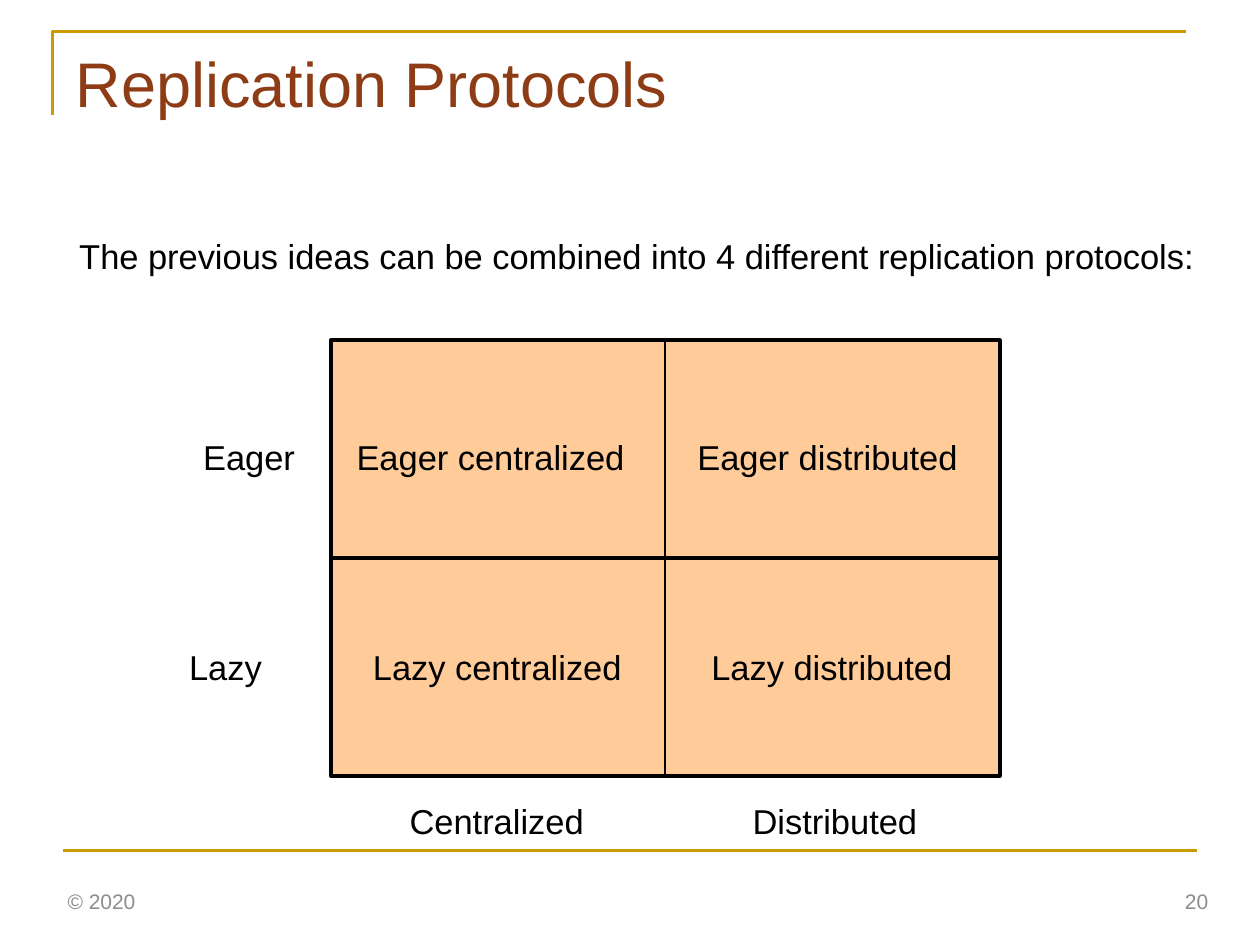
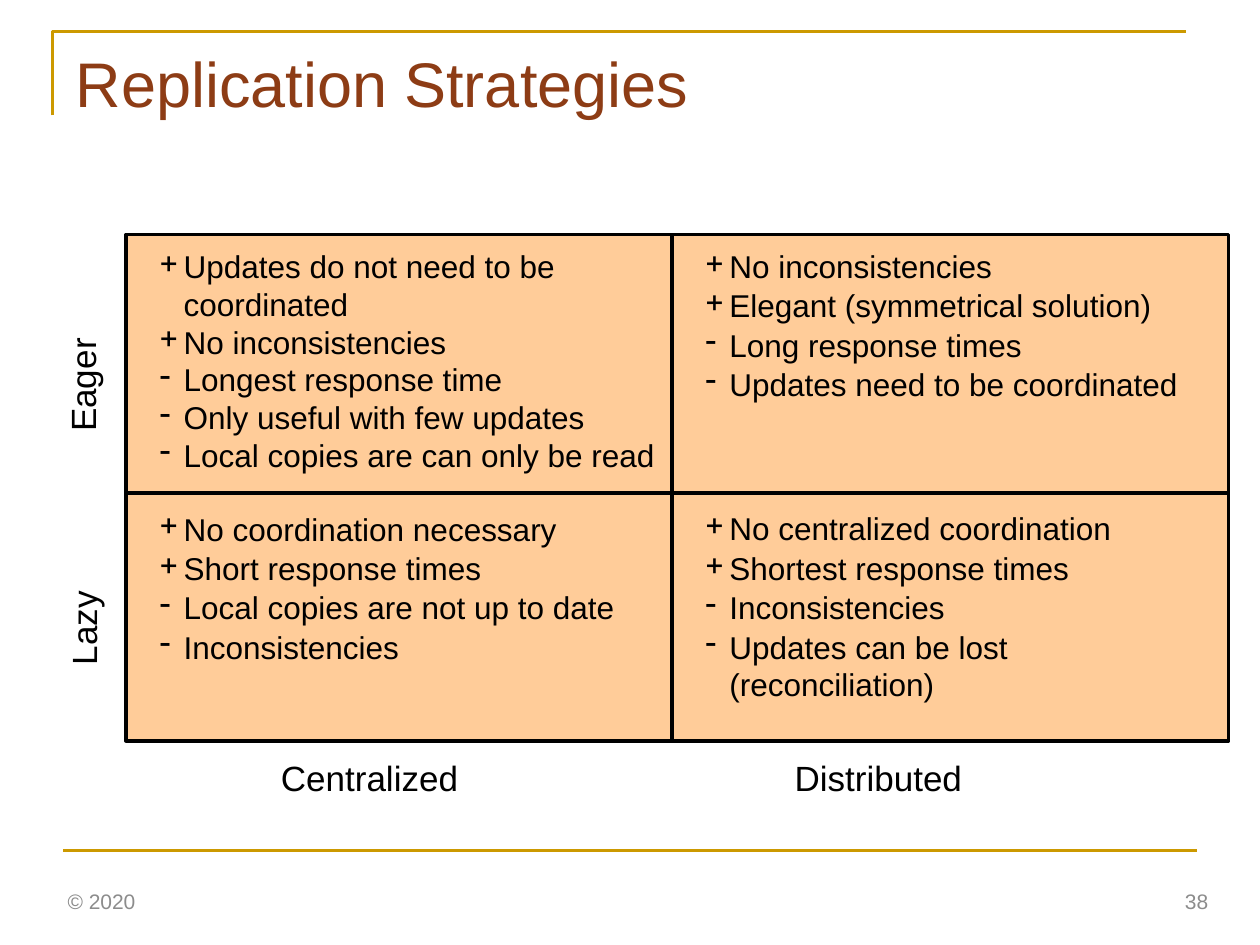
import pptx
import pptx.util
import pptx.dml.color
import pptx.enum.shapes
import pptx.enum.text
import lxml.etree
from pptx.oxml.ns import qn

Pt = pptx.util.Pt
ALIGN = pptx.enum.text.PP_ALIGN
ANCHOR = pptx.enum.text.MSO_ANCHOR

FONT = "Arial"
GOLD, BROWN, PEACH = "CC9900", "8D3C15", "FFCC99"
BLACK, GREY = "000000", "8C8C8C"


def color(code):
    return pptx.dml.color.RGBColor.from_string(code)


def style(par, size, code, align=ALIGN.LEFT):
    par.font.name = FONT
    par.font.size = Pt(size)
    par.font.color.rgb = color(code)
    par.alignment = align


def line(slide, start, end, code, width):
    link = slide.shapes.add_connector(
        pptx.enum.shapes.MSO_CONNECTOR.STRAIGHT,
        *(Pt(v) for v in (*start, *end)))
    link.line.color.rgb = color(code)
    link.line.width = Pt(width)
    props = link._element.spPr
    lxml.etree.SubElement(props, qn("a:effectLst"))
    return link


def label(slide, box, text, size, code=BLACK, align=ALIGN.LEFT,
          wrap=False, turn=0):
    shape = slide.shapes.add_textbox(*(Pt(v) for v in box))
    shape.rotation = turn
    frame = shape.text_frame
    frame.word_wrap = wrap
    frame.text = text
    style(frame.paragraphs[0], size, code, align)
    return frame


def bullet(par, mark):
    """Hang the paragraph from a plus or minus sign."""
    props = par._p.get_or_add_pPr()
    props.set("marL", str(Pt(13.7)))
    props.set("indent", str(-Pt(13.7)))
    if mark == "-":
        lxml.etree.SubElement(props, qn("a:buSzPct"), val="105000")
    lxml.etree.SubElement(props, qn("a:buChar"), char=mark)


def points(slide, box, pros, cons, gap):
    """List advantages marked + and then drawbacks marked -."""
    items = [("+", text) for text in pros] + [("-", text) for text in cons]
    frame = label(slide, box, items[0][1], 18, wrap=True)
    for mark, text in items[1:]:
        frame.add_paragraph().text = text
    for par, (mark, text) in zip(frame.paragraphs, items):
        style(par, 18, BLACK)
        par.space_before = Pt(gap)
        bullet(par, mark)


def base(deck, title, number):
    """Add a slide with its title, gold rules and footer."""
    slide = deck.slides.add_slide(deck.slide_layouts[5])
    path = slide.shapes.build_freeform(Pt(30), Pt(66))
    path.add_line_segments([(Pt(30), Pt(18)), (Pt(678), Pt(18))], close=False)
    corner = path.convert_to_shape()
    corner.shadow.inherit = False
    corner.fill.background()
    corner.line.color.rgb = color(GOLD)
    corner.line.width = Pt(1.5)
    line(slide, (36, 486), (684, 486), GOLD, 1.5)

    head = slide.shapes.title
    head.left, head.top, head.width, head.height = map(Pt, (36, 21.6, 648, 90))
    head.text_frame.text = title
    head.text_frame.vertical_anchor = ANCHOR.TOP
    style(head.text_frame.paragraphs[0], 36, BROWN)

    for left, width, text, align in ((31.5, 243, "© 2020", ALIGN.LEFT),
                                     (535.5, 162, number, ALIGN.RIGHT)):
        foot = label(slide, (left, 500.4, width, 28.8), text, 12, GREY,
                     align, wrap=True)
        foot.vertical_anchor = ANCHOR.MIDDLE
    return slide


def panel(slide, box):
    rect = slide.shapes.add_shape(
        pptx.enum.shapes.MSO_SHAPE.RECTANGLE, *(Pt(v) for v in box))
    rect.shadow.inherit = False
    rect.fill.solid()
    rect.fill.fore_color.rgb = color(PEACH)
    rect.line.color.rgb = color(BLACK)
    rect.line.width = Pt(2)
    return rect


def cross(slide, box, split, widths):
    """Divide the box by an upright and a level line at the split."""
    left, top, width, height = box
    x, y = left + split[0], top + split[1]
    return (line(slide, (x, top), (x, top + height), BLACK, widths[0]),
            line(slide, (left, y), (left + width, y), BLACK, widths[1]))


def protocols(slide, box):
    left, top, width, height = box
    rect = panel(slide, box)
    upright, level = cross(slide, box, (width / 2, height / 2), (1, 2))
    upright.begin_connect(rect, 0)
    upright.end_connect(rect, 2)
    level.begin_connect(rect, 1)
    level.end_connect(rect, 3)

    upper, lower, below = 51.1, 171.4, 259.2
    mid = ALIGN.CENTER
    for x, y, wide, text, align in (
            (-80, upper, 67.7, "Eager", ALIGN.LEFT),
            (-88, lower, 72, "Lazy", ALIGN.LEFT),
            (38, below, 117.4, "Centralized", ALIGN.LEFT),
            (234, below, 110.2, "Distributed", ALIGN.LEFT),
            (6.3, upper, 170, "Eager centralized", mid),
            (200, upper, 167.8, "Eager distributed", mid),
            (15.7, lower, 159, "Lazy centralized", mid),
            (206.5, lower, 159.8, "Lazy distributed", mid)):
        label(slide, (left + x, top + y, wide, 31), text, 19.7, align=align,
              wrap=text == "Lazy")


def tradeoffs(slide, box):
    left, top, width, height = box
    panel(slide, box)
    cross(slide, box, (311.8, 147.6), (2.25, 2.25))
    for x, y, wide, text, turn in (
            (-59, 69.8, 68.4, "Eager", 270),
            (-62.6, 198.7, 77, "Lazy", 270.2),
            (81.4, 294.5, 116.6, "Centralized", 0),
            (375, 294.5, 110.9, "Distributed", 0)):
        label(slide, (left + x, top + y, wide, 31.7), text, 20,
              wrap=text == "Lazy", turn=turn)

    near, far, upper, lower = 12.2, 324, 3.6, 153.6
    for x, y, tall, gap, pros, cons in (
            (near, upper, 138.2, 0,
             ["Updates do not need to be coordinated", "No inconsistencies"],
             ["Longest response time", "Only useful with few updates",
              "Local copies are can only be read"]),
            (far, upper, 98, 0.9,
             ["No inconsistencies", "Elegant (symmetrical solution)"],
             ["Long response times", "Updates need to be coordinated"]),
            (near, lower, 98, 0.9,
             ["No coordination necessary", "Short response times"],
             ["Local copies are not up to date", "Inconsistencies"]),
            (far, lower, 119.5, 0.9,
             ["No centralized coordination", "Shortest response times"],
             ["Inconsistencies", "Updates can be lost (reconciliation)"])):
        points(slide, (left + x, top + y, 300, tall), pros, cons, gap)


def main():
    deck = pptx.Presentation()
    deck.slide_width, deck.slide_height = Pt(720), Pt(540)

    slide = base(deck, "Replication Protocols", "20")
    label(slide, (38.2, 131, 660.2, 31), "The previous ideas can be combined "
          "into 4 different replication protocols:", 19.7)
    protocols(slide, (189, 194.4, 382.3, 249.1))

    slide = base(deck, "Replication Strategies", "38")
    tradeoffs(slide, (72, 134, 630, 289.4))

    deck.save("out.pptx")


if __name__ == "__main__":
    main()
